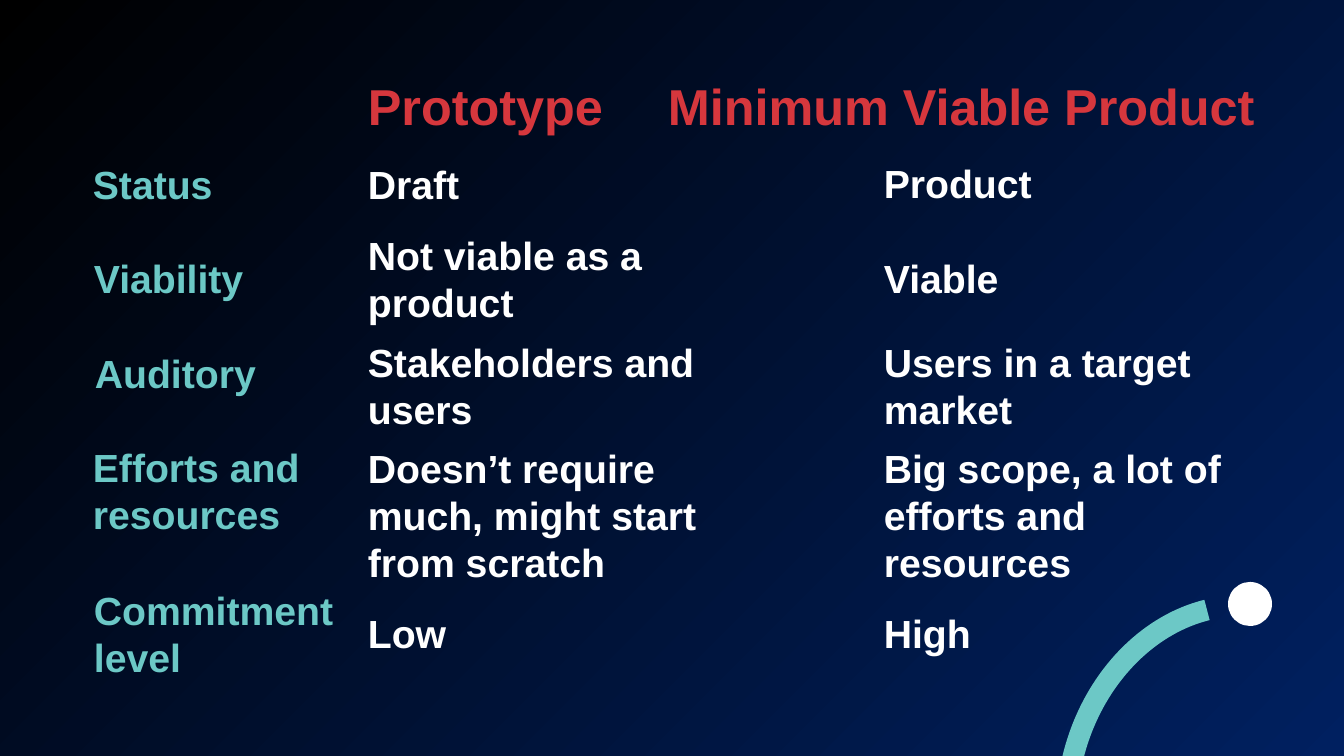
from pptx import Presentation
from pptx import util as u
from pptx.dml.color import RGBColor
from pptx.enum import shapes, text

PX = 12192000 / 1344
RED, TEAL, WHITE = "D6373D", "6CC8C6", "FFFFFF"

LABELS = [
    ("Status", 83, 155, 1),
    ("Viability", 84, 249, 1),
    ("Auditory", 85, 344, 1),
    ("Efforts and resources", 83, 438, 2),
    ("Commitment level", 84, 581, 2),
]
PROTOTYPE = [
    ("Draft", 155, 412, 1),
    ("Not viable as a product", 226, 313, 2),
    ("Stakeholders and users", 333, 412, 2),
    ("Doesn’t require much, might start from scratch", 439, 412, 3),
    ("Low", 604, 412, 1),
]
VIABLE_PRODUCT = [
    ("Product", 154, 175, 1),
    ("Viable", 249, 409, 1),
    ("Users in a target market", 333, 409, 2),
    ("Big scope, a lot of efforts and resources", 439, 412, 3),
    ("High", 604, 412, 1),
]


def px(*lengths):
    return [u.Emu(round(length * PX)) for length in lengths]


def color(hex_string):
    return RGBColor.from_string(hex_string)


def write(box, words, size=28, ink=WHITE, bold=True, font="Arial"):
    frame = box.text_frame
    frame.word_wrap = True
    frame.auto_size = text.MSO_AUTO_SIZE.SHAPE_TO_FIT_TEXT
    span = frame.paragraphs[0].add_run()
    span.text = words
    span.font.size = u.Pt(size)
    span.font.name = font
    span.font.bold = bold
    span.font.color.rgb = color(ink)


class SlideBuilder:
    def __init__(self, deck):
        self.page = deck.slides.add_slide(deck.slide_layouts[6])
        self.shapes = self.page.shapes

    def background(self, start, end):
        fill = self.page.background.fill
        fill.gradient()
        fill.gradient_angle = 315
        for stop, hex_string in zip(fill.gradient_stops, (start, end)):
            stop.color.rgb = color(hex_string)

    def label(self, words, left, top, width, height, parent=None, **style):
        box = (parent or self.shapes).add_textbox(*px(left, top, width, height))
        write(box, words, **style)

    def column(self, left, cells):
        for words, top, width, lines in cells:
            self.label(words, left, top, width, 10 + 47 * lines)

    def row_labels(self, rows):
        group = self.shapes.add_group_shape()
        for words, left, top, lines in rows:
            self.label(words, left, top, 291, 10 + 47 * lines,
                       parent=group.shapes, ink=TEAL)

    def arc(self, left, top, width, height, angles, rotation, ink, weight):
        arc = self.shapes.add_shape(shapes.MSO_SHAPE.ARC, *px(left, top, width, height))
        arc.shadow.inherit = False
        arc.adjustments[0], arc.adjustments[1] = angles
        arc.rotation = rotation
        arc._element.spPr.xfrm.set("flipH", "1")
        arc.fill.background()
        arc.line.color.rgb = color(ink)
        arc.line.width = u.Pt(weight)

    def dot(self, left, top, size, ink):
        dot = self.shapes.add_shape(shapes.MSO_SHAPE.OVAL, *px(left, top, size, size))
        dot.shadow.inherit = False
        dot.fill.solid()
        dot.fill.fore_color.rgb = color(ink)
        dot.line.fill.background()


def main():
    deck = Presentation()
    deck.slide_width, deck.slide_height = px(1344, 756)
    slide = SlideBuilder(deck)
    slide.background("000000", "002060")
    slide.label("Prototype", 358, 70, 412, 72, size=36, ink=RED)
    slide.label("Minimum Viable Product", 658, 70, 612, 72, size=36, ink=RED)
    slide.row_labels(LABELS)
    slide.column(358, PROTOTYPE)
    slide.column(874, VIABLE_PRODUCT)
    slide.arc(1069, 604, 311, 377, angles=(174.28, 42.56), rotation=15, ink=TEAL, weight=15)
    slide.dot(1228, 582, 44, WHITE)
    deck.save("out.pptx")


if __name__ == "__main__":
    main()
